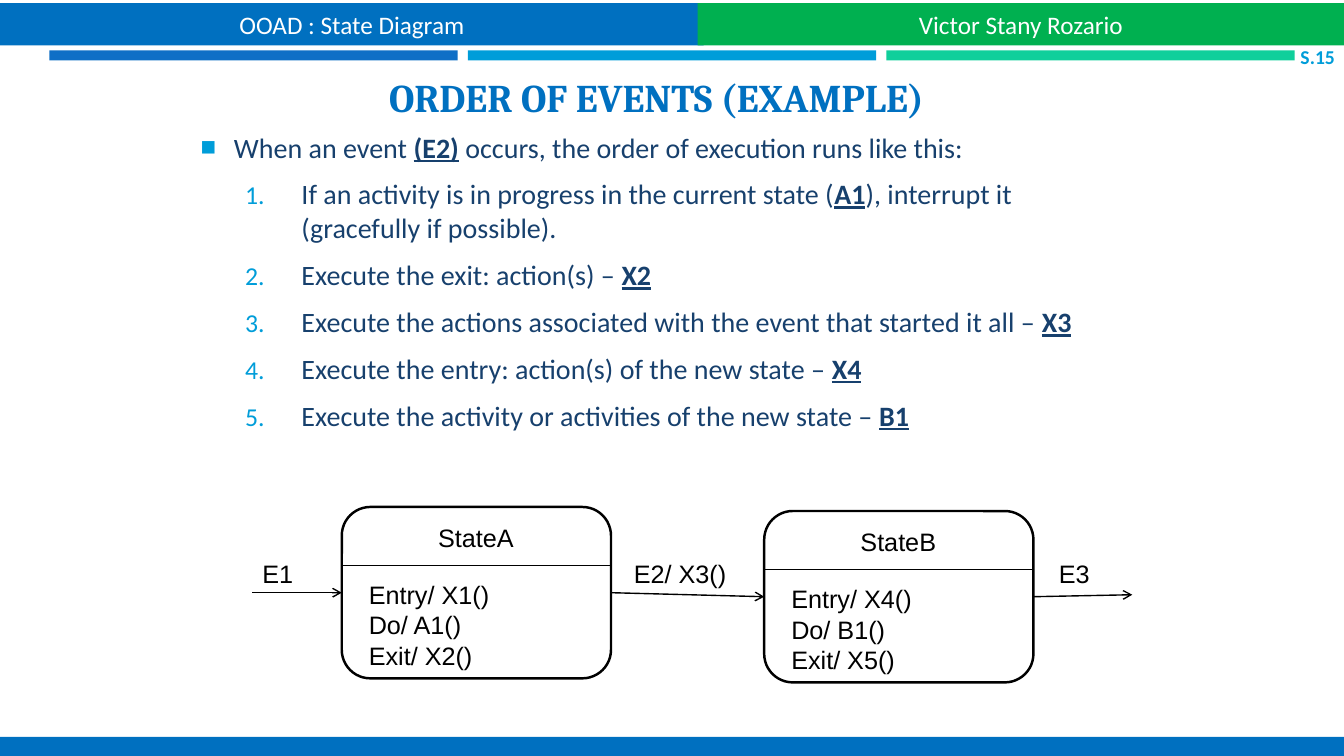
import dataclasses

import pptx
import pptx.dml.color
import pptx.enum.shapes
import pptx.enum.text
import pptx.oxml
import pptx.oxml.ns
import pptx.util
from lxml import etree

Inches = pptx.util.Inches
Pt = pptx.util.Pt
ALIGN = pptx.enum.text.PP_ALIGN
ANCHOR = pptx.enum.text.MSO_ANCHOR
SHAPE = pptx.enum.shapes.MSO_SHAPE
LEFT, RIGHT = 1, 3


@dataclasses.dataclass(frozen=True)
class Theme:
    blue: str = "0070C0"
    green: str = "00B050"
    accent: str = "009DD9"
    bars: tuple = ("0F6FC6", "009DD9", "10CF9B")
    body: str = "17406D"
    ink: str = "000000"
    white: str = "FFFFFF"
    title_font: str = "Cambria"
    body_font: str = "Calibri"
    diagram_font: str = "Arial"
    title_size: int = 28
    body_size: int = 20
    label_size: int = 18
    number_size: int = 14


def color(value):
    return pptx.dml.color.RGBColor.from_string(value)


def add_element(parent, tag, **attributes):
    return etree.SubElement(parent, pptx.oxml.ns.qn(tag), attributes)


def place(shape, left, top, width, height):
    shape.left, shape.top = Inches(left), Inches(top)
    shape.width, shape.height = Inches(width), Inches(height)


def format_run(run, font, size, value, bold=False, underline=False):
    run.font.name, run.font.size = font, Pt(size)
    run.font.color.rgb = color(value)
    run.font.bold, run.font.underline = bold, underline


class SlideBuilder:
    def __init__(self, slide, theme):
        self.slide, self.theme = slide, theme

    def set_text(self, shape, text, font, size, value, align, bold=False):
        shape.text_frame.text = text
        for paragraph in shape.text_frame.paragraphs:
            paragraph.alignment = align
            for run in paragraph.runs:
                format_run(run, font, size, value, bold)

    def band(self, box, fill, text=""):
        shape = self.slide.shapes.add_shape(SHAPE.RECTANGLE, *map(Inches, box))
        shape.shadow.inherit = False
        shape.fill.solid()
        shape.fill.fore_color.rgb = color(fill)
        shape.line.fill.background()
        if text:
            shape.text_frame.vertical_anchor = ANCHOR.MIDDLE
            self.set_text(shape, text, self.theme.body_font, self.theme.label_size,
                          self.theme.white, ALIGN.CENTER)

    def title(self, box, text):
        shape = self.slide.shapes.title
        place(shape, *box)
        shape.text_frame.vertical_anchor = ANCHOR.BOTTOM
        shape.text_frame.auto_size = pptx.enum.text.MSO_AUTO_SIZE.NONE
        self.set_text(shape, text, self.theme.title_font, self.theme.title_size,
                      self.theme.blue, ALIGN.CENTER, bold=True)

    def steps(self, box, lead, items):
        """Fill the body with a bulleted lead and numbered items; *text* is emphasised."""
        shape = self.slide.placeholders[1]
        place(shape, *box)
        frame = shape.text_frame
        frame.auto_size = pptx.enum.text.MSO_AUTO_SIZE.NONE
        frame.vertical_anchor = ANCHOR.TOP
        for index, text in enumerate([lead, *items]):
            paragraph = frame.add_paragraph() if index else frame.paragraphs[0]
            paragraph.level = 1 if index else 0
            self.bullet(paragraph, numbered=index > 0)
            paragraph.space_before = Pt(3.5 if index else 0)
            paragraph.space_after = Pt(6)
            for part, words in enumerate(text.split("*")):
                if words:
                    run = paragraph.add_run()
                    run.text = words
                    strong = part % 2 == 1
                    format_run(run, self.theme.body_font, self.theme.body_size,
                               self.theme.body, strong, strong)

    def bullet(self, paragraph, numbered):
        properties = paragraph._p.get_or_add_pPr()
        margin, hanging = (1, 0.56) if numbered else (0.33, 0.33)
        properties.set("marL", str(Inches(margin)))
        properties.set("indent", str(-Inches(hanging)))
        add_element(add_element(properties, "a:buClr"), "a:srgbClr", val=self.theme.accent)
        add_element(properties, "a:buSzPct", val="92000")
        if numbered:
            add_element(properties, "a:buFont", typeface=self.theme.body_font)
            add_element(properties, "a:buAutoNum", type="arabicPeriod")
        else:
            add_element(properties, "a:buFont", typeface=self.theme.diagram_font)
            add_element(properties, "a:buChar", char="■")

    def label(self, box, text, align=ALIGN.CENTER):
        shape = self.slide.shapes.add_textbox(*map(Inches, box))
        shape.text_frame.word_wrap = True
        self.set_text(shape, text, self.theme.diagram_font, self.theme.label_size,
                      self.theme.ink, align)

    def page_number(self, box, text):
        shape = self.slide.shapes.add_textbox(*map(Inches, box))
        frame = shape.text_frame
        frame.word_wrap = True
        frame.vertical_anchor = ANCHOR.MIDDLE
        frame.margin_left = frame.margin_right = frame.margin_top = frame.margin_bottom = 0
        self.set_text(shape, text, self.theme.body_font, self.theme.number_size,
                      self.theme.accent, ALIGN.RIGHT, bold=True)

    def line(self, start, end, arrow=False):
        connector = self.slide.shapes.add_connector(
            pptx.enum.shapes.MSO_CONNECTOR.STRAIGHT, *map(Inches, (*start, *end)))
        connector.line.color.rgb = color(self.theme.ink)
        connector.line.width = Pt(1)
        if arrow:
            add_element(connector.line._get_or_add_ln(), "a:tailEnd", type="arrow")
        add_element(connector._element.spPr, "a:effectLst")
        return connector

    def state(self, left, top, name, actions):
        width, height, divider = 2.67, 1.7, 0.58
        shape = self.slide.shapes.add_shape(
            SHAPE.ROUNDED_RECTANGLE, *map(Inches, (left, top, width, height)))
        shape.shadow.inherit = False
        shape.fill.background()
        shape.line.color.rgb = color(self.theme.ink)
        shape.line.width = Pt(1.75)
        self.line((left, top + divider), (left + width, top + divider))
        self.label((left + 0.33, top + 0.1, 2, 0.4), name)
        self.label((left + 0.17, top + 0.67, 2.33, 1.01), "\n".join(actions), ALIGN.LEFT)
        return shape


def main():
    presentation = pptx.Presentation()
    presentation.slide_width, presentation.slide_height = Inches(13.33), Inches(7.5)
    theme = Theme()
    slide = presentation.slides.add_slide(presentation.slide_layouts[1])
    builder = SlideBuilder(slide, theme)

    for index, fill in enumerate(theme.bars):
        builder.band((0.49 + index * 4.15, 0.5, 4.05, 0.1), fill)
    builder.band((0, 7.31, 13.33, 0.24), theme.blue)
    builder.band((0, 0.03, 6.98, 0.42), theme.blue, "OOAD : State Diagram")
    builder.band((6.92, 0.03, 6.41, 0.42), theme.green, "Victor Stany Rozario")
    builder.page_number((12.7, 0.45, 0.54, 0.22), "S.15")

    builder.title((0.48, 0.62, 12.06, 0.62), "ORDER OF EVENTS (EXAMPLE)")
    builder.steps(
        (1.89, 1.24, 9, 4.95),
        "When an event *(E2)* occurs, the order of execution runs like this:",
        ["If an activity is in progress in the current state (*A1*), "
         "interrupt it (gracefully if possible).",
         "Execute the exit: action(s) – *X2*",
         "Execute the actions associated with the event that started it all – *X3*",
         "Execute the entry: action(s) of the new state – *X4*",
         "Execute the activity or activities of the new state – *B1*"])

    state_a = builder.state(3.39, 5.03, "StateA", ["Entry/ X1()", "Do/ A1()", "Exit/ X2()"])
    state_b = builder.state(7.58, 5.07, "StateB", ["Entry/ X4()", "Do/ B1()", "Exit/ X5()"])

    entering = builder.line((2.5, 5.88), (3.39, 5.88), arrow=True)
    entering.end_connect(state_a, LEFT)
    between = builder.line((6.06, 5.88), (7.58, 5.92), arrow=True)
    between.begin_connect(state_a, RIGHT)
    between.end_connect(state_b, LEFT)
    leaving = builder.line((10.25, 5.92), (11.23, 5.9), arrow=True)
    leaving.begin_connect(state_b, RIGHT)

    for left, width, event in ((2.31, 0.89, "E1"), (6.06, 1.37, "E2/ X3()"), (10.08, 1.15, "E3")):
        builder.label((left, 5.49, width, 0.4), event)

    presentation.save("out.pptx")


if __name__ == "__main__":
    main()
